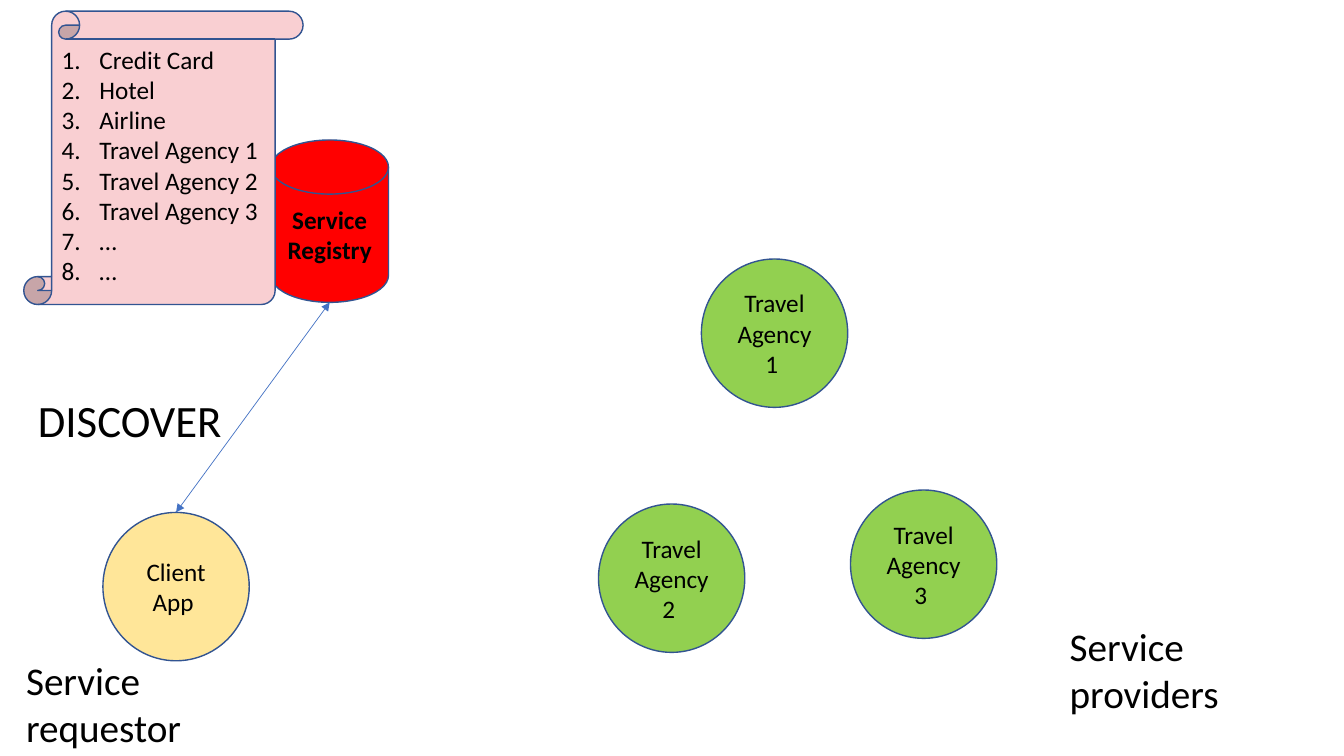
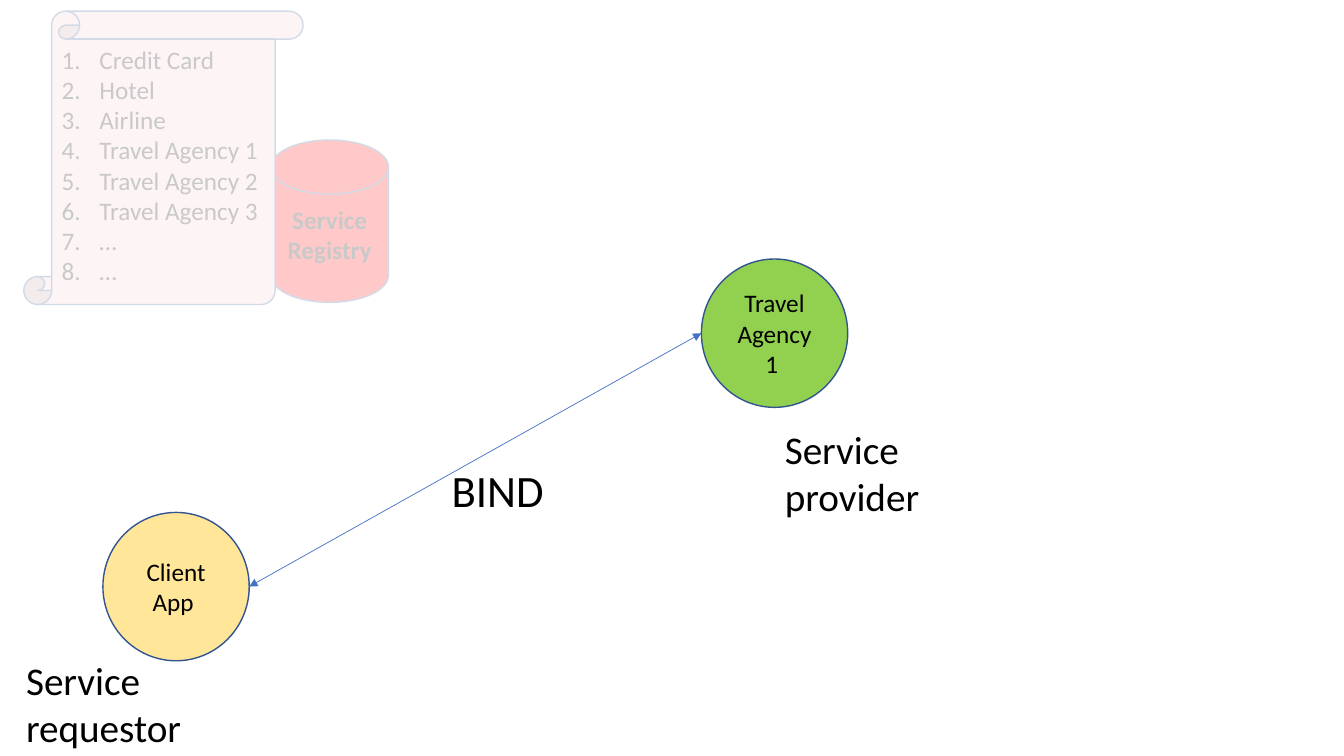
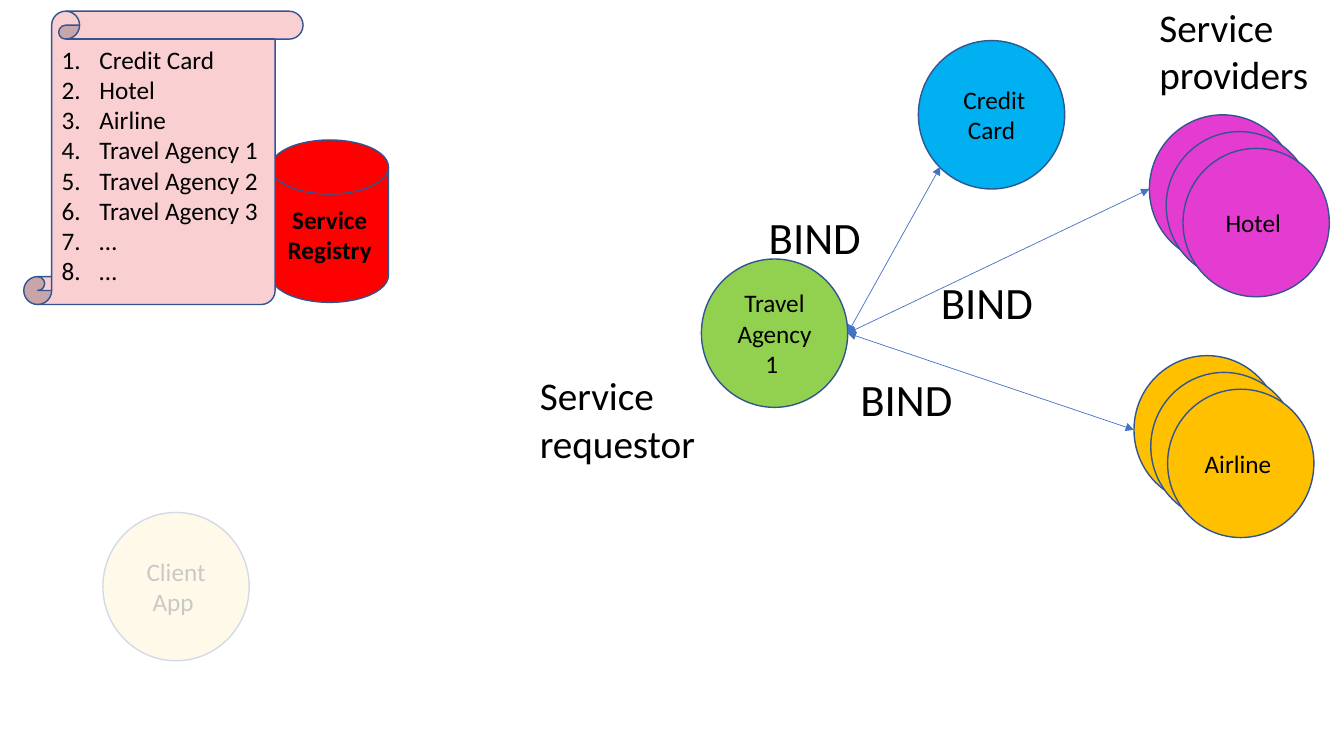
from dataclasses import dataclass

from lxml.etree import SubElement
from pptx import Presentation
from pptx.dml.color import RGBColor
from pptx.enum.shapes import MSO_CONNECTOR, MSO_SHAPE
from pptx.enum.text import MSO_ANCHOR, PP_ALIGN
from pptx.oxml.ns import qn
from pptx.util import Pt


@dataclass(frozen=True)
class Theme:
    font: str = "Calibri"
    body: int = 18
    role: int = 28
    action: int = 32
    text: str = "000000"
    outline: str = "325491"
    arrow: str = "4472C4"
    veil: str = "FFFFFF"
    veil_opacity: int = 79
    scroll: str = "F9CFD2"
    registry: str = "FF0000"
    client: str = "FFE699"
    agency: str = "92D050"
    card: str = "00B0F0"
    hotel: str = "E43CD0"
    airline: str = "FFC000"


THEME = Theme()
SLIDE_WIDTH, SLIDE_HEIGHT = 960, 540
CIRCLE_WIDTH, CIRCLE_HEIGHT = 104.5, 106
STACK_STEP = 12
LIST_INDENT = 27
ROLE_WIDTH, ROLE_HEIGHT = 182, 75
ACTION_WIDTH, ACTION_HEIGHT = 158, 46
REGISTRY_BOX = (193.5, 100, 84, 116)
SCROLL_BOX = (17, 8, 199.5, 209.5)

REGISTERED = ["Credit Card", "Hotel", "Airline", "Travel Agency 1",
              "Travel Agency 2", "Travel Agency 3", "…", "…"]

CIRCLES = {
    "agency 1": ("Travel Agency 1 ", 501, 185, THEME.agency, 1),
    "agency 2": ("Travel Agency 2 ", 427.5, 360, THEME.agency, 1),
    "agency 3": ("Travel Agency 3 ", 607.5, 350, THEME.agency, 1),
    "client": ("Client App ", 73.5, 366, THEME.client, 1),
    "card": (" Credit Card", 656, 29, THEME.card, 1),
    "hotel": ("Hotel ", 821, 82, THEME.hotel, 3),
    "airline": ("Airline ", 810, 254, THEME.airline, 3),
}

SITES = {"top": (0.5, 0), "left": (0, 0.5), "bottom": (0.5, 1),
         "right": (1, 0.5), "bottom left": (0.15, 0.85)}

SLIDES = [
    {
        "circles": ["agency 1", "client", "agency 2", "agency 3"],
        "arrows": [("client", "top", "registry", "bottom")],
        "actions": [("DISCOVER", 20, 277)],
        "roles": [("Service requestor", 11.5, 465), ("Service providers", 757, 441)],
        "veils": [],
    },
    {
        "circles": ["agency 1", "client"],
        "arrows": [("client", "right", "agency 1", "left")],
        "actions": [("BIND", 315.5, 327)],
        "roles": [("Service requestor", 11.5, 465), ("Service provider", 553.5, 300)],
        "veils": [(-8.5, 0, 344, 276.5)],
    },
    {
        "circles": ["agency 1", "airline", "hotel", "card", "client"],
        "arrows": [("agency 1", "right", "card", "bottom left"),
                   ("agency 1", "right", "hotel", "left"),
                   ("agency 1", "right", "airline", "left")],
        "actions": [("BIND", 665, 193), ("BIND", 607.5, 262), ("BIND", 542, 146)],
        "roles": [("Service requestor", 378.5, 262), ("Service providers", 821, -1)],
        "veils": [(-8.5, 291, 360.5, 200)],
    },
]


def color(value):
    return RGBColor.from_string(value)


def write(shape, lines, size, bold=False, align=PP_ALIGN.LEFT, anchor=MSO_ANCHOR.TOP):
    frame = shape.text_frame
    frame.word_wrap = True
    frame.vertical_anchor = anchor
    frame.text = "\n".join(lines)
    for paragraph in frame.paragraphs:
        paragraph.alignment = align
        paragraph.font.name = THEME.font
        paragraph.font.size = Pt(size)
        paragraph.font.bold = bold
        paragraph.font.color.rgb = color(THEME.text)


def add_block(slide, preset, box, fill):
    shape = slide.shapes.add_shape(preset, *map(Pt, box))
    shape.shadow.inherit = False
    shape.fill.solid()
    shape.fill.fore_color.rgb = color(fill)
    shape.line.color.rgb = color(THEME.outline)
    shape.line.width = Pt(1)
    return shape


def add_circles(slide, label, left, top, fill, count):
    circles = []
    for index in range(count):
        offset = index * STACK_STEP
        box = (left + offset, top + offset, CIRCLE_WIDTH, CIRCLE_HEIGHT)
        circles.append(add_block(slide, MSO_SHAPE.FLOWCHART_CONNECTOR, box, fill))
    write(circles[-1], [label], THEME.body, align=PP_ALIGN.CENTER, anchor=MSO_ANCHOR.MIDDLE)
    return circles[0]


def add_registry(slide):
    registry = add_block(slide, MSO_SHAPE.FLOWCHART_MAGNETIC_DISK, REGISTRY_BOX, THEME.registry)
    write(registry, ["Service Registry"], THEME.body, True, PP_ALIGN.CENTER, MSO_ANCHOR.MIDDLE)
    return registry


def add_scroll(slide):
    scroll = add_block(slide, MSO_SHAPE.VERTICAL_SCROLL, SCROLL_BOX, THEME.scroll)
    scroll.adjustments[0] = 0.1
    write(scroll, REGISTERED, THEME.body)
    for paragraph in scroll.text_frame.paragraphs:
        properties = paragraph._p.get_or_add_pPr()
        properties.set("marL", str(Pt(LIST_INDENT)))
        properties.set("indent", str(-Pt(LIST_INDENT)))
        number = SubElement(properties, qn("a:buAutoNum"), type="arabicPeriod")
        properties.insert(0, number)


def site_point(shape, site):
    across, down = SITES[site]
    return int(shape.left + across * shape.width), int(shape.top + down * shape.height)


def add_arrow(slide, start, start_site, end, end_site):
    arrow = slide.shapes.add_connector(
        MSO_CONNECTOR.STRAIGHT, *site_point(start, start_site), *site_point(end, end_site))
    if start_site == "top":
        arrow.begin_connect(start, 0)
    arrow.line.color.rgb = color(THEME.arrow)
    arrow.line.width = Pt(0.5)
    line = arrow.line._get_or_add_ln()
    for tag in ("a:headEnd", "a:tailEnd"):
        SubElement(line, qn(tag), type="triangle")
    SubElement(arrow._element.spPr, qn("a:effectLst"))


def add_label(slide, text, left, top, width, height, size):
    width = min(width, SLIDE_WIDTH - left)
    label = slide.shapes.add_textbox(Pt(left), Pt(top), Pt(width), Pt(height))
    write(label, [text], size)


def add_veil(slide, box):
    veil = add_block(slide, MSO_SHAPE.ROUNDED_RECTANGLE, box, THEME.veil)
    veil.line.fill.background()
    fill = veil._element.spPr.find(qn("a:solidFill"))
    SubElement(fill[0], qn("a:alpha"), val=str(THEME.veil_opacity * 1000))


def build_slide(presentation, content):
    slide = presentation.slides.add_slide(presentation.slide_layouts[6])
    nodes = {name: add_circles(slide, *CIRCLES[name]) for name in content["circles"]}
    nodes["registry"] = add_registry(slide)
    add_scroll(slide)
    for start, start_site, end, end_site in content["arrows"]:
        add_arrow(slide, nodes[start], start_site, nodes[end], end_site)
    for label in content["actions"]:
        add_label(slide, *label, ACTION_WIDTH, ACTION_HEIGHT, THEME.action)
    for label in content["roles"]:
        add_label(slide, *label, ROLE_WIDTH, ROLE_HEIGHT, THEME.role)
    for box in content["veils"]:
        add_veil(slide, box)


def main():
    presentation = Presentation()
    presentation.slide_width = Pt(SLIDE_WIDTH)
    presentation.slide_height = Pt(SLIDE_HEIGHT)
    for content in SLIDES:
        build_slide(presentation, content)
    presentation.save("out.pptx")


if __name__ == "__main__":
    main()
